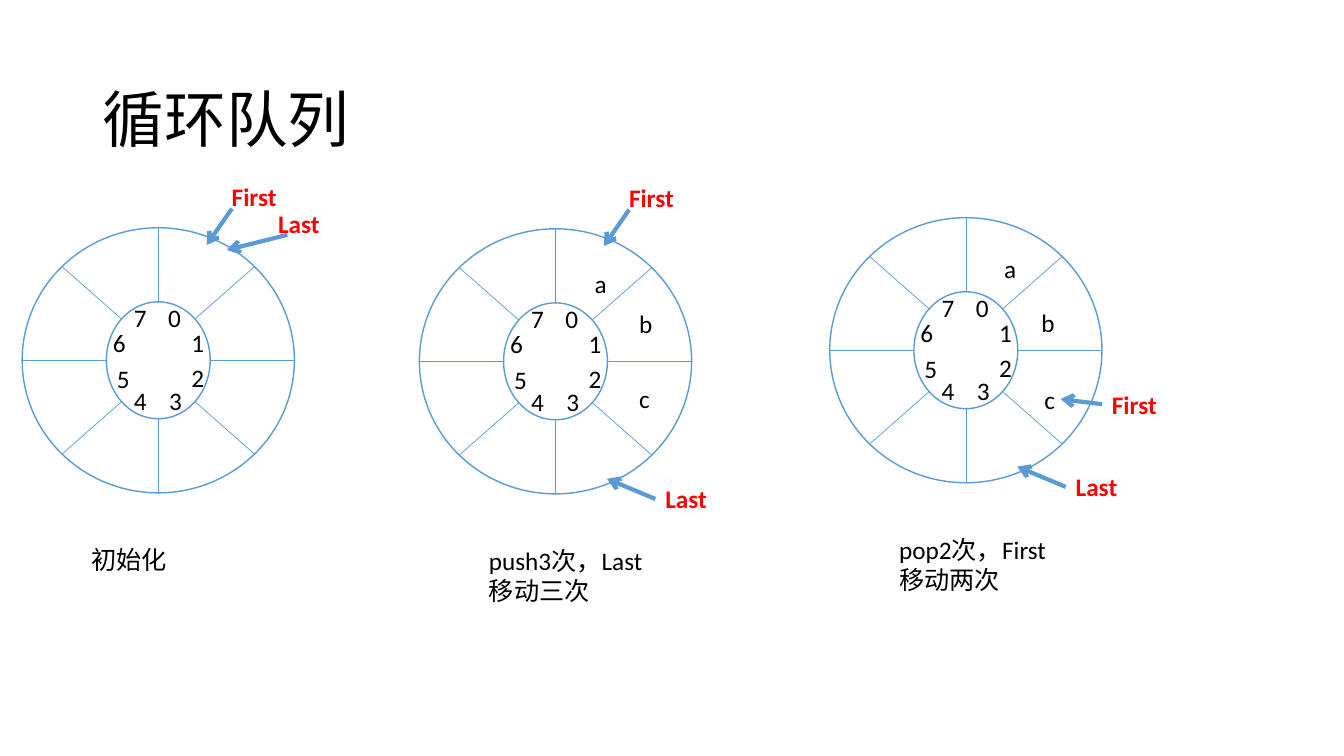
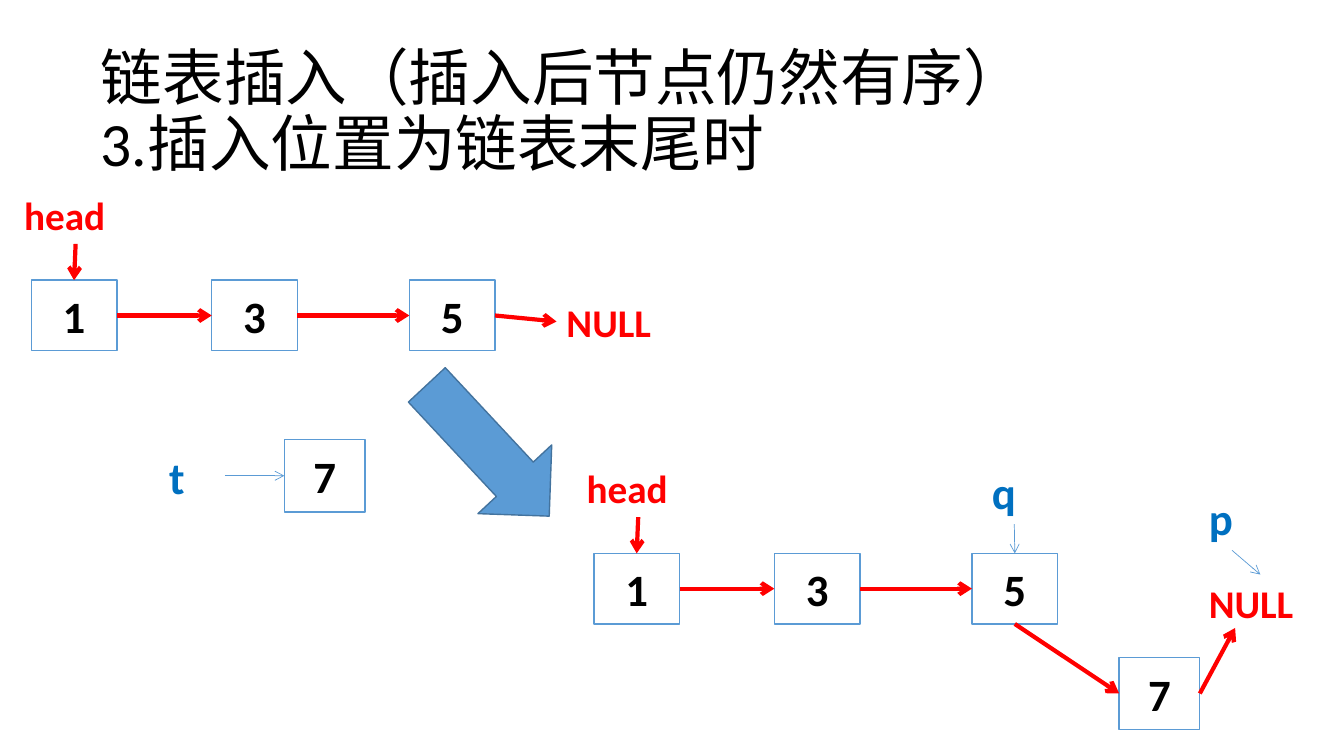
import math

from lxml import etree
from pptx import Presentation
from pptx.dml.color import RGBColor
from pptx.enum.shapes import MSO_CONNECTOR, MSO_SHAPE
from pptx.enum.text import MSO_ANCHOR, MSO_AUTO_SIZE, PP_ALIGN
from pptx.oxml.ns import qn
from pptx.util import Inches, Pt

ELLIPSE = MSO_SHAPE.OVAL
RECTANGLE = MSO_SHAPE.RECTANGLE
RIGHT_ARROW = MSO_SHAPE.RIGHT_ARROW
STRAIGHT = MSO_CONNECTOR.STRAIGHT
MIDDLE = MSO_ANCHOR.MIDDLE
FIT_SHAPE = MSO_AUTO_SIZE.SHAPE_TO_FIT_TEXT
NO_FIT = MSO_AUTO_SIZE.NONE
LEFT, CENTER = PP_ALIGN.LEFT, PP_ALIGN.CENTER

FONT = "Calibri"
COLORS = {
    "text": "000000",
    "paper": "FFFFFF",
    "outline": "5B9BD5",
    "outline_dark": "43739E",
    "accent": "FF0000",
    "pointer": "0070C0",
}
TITLE_ONLY = 5
TOP_SIDE, LEFT_SIDE, BOTTOM_SIDE, RIGHT_SIDE = range(4)
SIDE_FRACTIONS = [(0.5, 0), (0, 0.5), (0.5, 1), (1, 0.5)]

RING_SIZE = (2.7, 2.63)
HUB_SIZE = (1.03, 1.16)
SLOT_OFFSETS = [(1.35, 0.69), (1.58, 0.94), (1.58, 1.29), (1.36, 1.51),
                (1.01, 1.51), (0.84, 1.3), (0.8, 0.94), (1.01, 0.69)]
CAPTION_OFFSET = (0.59, 3.09)
NODE_SIZE = (0.85, 0.7)
NEW_NODE_SIZE = (0.8, 0.72)
CHAIN = [("1", 0), ("3", 1.79), ("5", 3.75)]

# Each marker: label, label position, arrow start, arrow end
QUEUES = [
    {"origin": (0.22, 2.26), "caption": "初始化", "caption_size": (1.51, 0.4),
     "markers": [("First", (2.2, 1.75), (2.3, 2.07), (2.05, 2.43)),
                 ("Last", (2.66, 2.02), (2.85, 2.33), (2.25, 2.48))],
     "items": []},
    {"origin": (4.16, 2.27), "caption": "push3次，Last移动三次",
     "caption_size": (1.85, 0.71),
     "markers": [("First", (6.14, 1.76), (6.24, 2.08), (5.99, 2.44)),
                 ("Last", (6.5, 4.75), (6.5, 4.95), (6.02, 4.75))],
     "items": [("a", (5.8, 2.61)), ("b", (6.24, 3.01)), ("c", (6.24, 3.75))]},
    {"origin": (8.23, 2.16), "caption": "pop2次，First移动两次",
     "caption_size": (1.85, 0.71),
     "markers": [("First", (10.93, 3.81), (10.93, 4.01), (10.52, 3.96)),
                 ("Last", (10.57, 4.63), (10.57, 4.83), (10.09, 4.63))],
     "items": [("a", (9.86, 2.46)), ("b", (10.23, 3)), ("c", (10.26, 3.76))]},
]


def rgb(name):
    return RGBColor.from_string(COLORS[name])


def shifted(origin, offset):
    return origin[0] + offset[0], origin[1] + offset[1]


def format_text(text_frame, size, color="text", bold=False, align=LEFT):
    for paragraph in text_frame.paragraphs:
        paragraph.alignment = align
        for run in paragraph.runs:
            run.font.name = FONT
            run.font.size = Pt(size)
            run.font.bold = bold
            run.font.color.rgb = rgb(color)


def add_titled_slide(presentation, title_text, position):
    slide = presentation.slides.add_slide(presentation.slide_layouts[TITLE_ONLY])
    title = slide.shapes.title
    title.left, title.top = map(Inches, position)
    title.width, title.height = Inches(11.5), Inches(1.45)
    text_frame = title.text_frame
    text_frame.text = title_text
    text_frame.vertical_anchor = MIDDLE
    text_frame.auto_size = NO_FIT
    for paragraph in text_frame.paragraphs:
        paragraph.line_spacing = 0.9
    format_text(text_frame, 44)
    return slide


def add_label(shapes, text, position, size, font_size=18, color="text", bold=False):
    label = shapes.add_textbox(*map(Inches, position + size))
    text_frame = label.text_frame
    text_frame.word_wrap = True
    text_frame.auto_size = FIT_SHAPE
    text_frame.text = text
    format_text(text_frame, font_size, color, bold)


def add_outlined(shapes, kind, position, size, fill="paper", line="outline"):
    shape = shapes.add_shape(kind, *map(Inches, position + size))
    shape.shadow.inherit = False
    shape.fill.solid()
    shape.fill.fore_color.rgb = rgb(fill)
    shape.line.color.rgb = rgb(line)
    shape.line.width = Pt(1)
    return shape


def add_node(shapes, text, position, size=NODE_SIZE):
    node = add_outlined(shapes, RECTANGLE, position, size)
    node.text_frame.text = text
    node.text_frame.vertical_anchor = MIDDLE
    format_text(node.text_frame, 32, bold=True, align=CENTER)
    return node


def side_middle(shape, side):
    across, down = SIDE_FRACTIONS[side]
    return (shape.left + int(shape.width * across),
            shape.top + int(shape.height * down))


def add_line(shapes, start, end, color="outline", width=0.5, arrow=True,
             start_side=None, end_side=None):
    """Draw a line; an end given with a side is a shape to join, else a point."""
    points = [tuple(map(Inches, target)) if side is None else side_middle(target, side)
              for target, side in ((start, start_side), (end, end_side))]
    connector = shapes.add_connector(STRAIGHT, *points[0], *points[1])
    if start_side is not None:
        connector.begin_connect(start, start_side)
    if end_side is not None:
        connector.end_connect(end, end_side)
    connector.line.color.rgb = rgb(color)
    connector.line.width = Pt(width)
    properties = connector.element.spPr
    if arrow:
        etree.SubElement(properties.find(qn("a:ln")), qn("a:tailEnd"), type="arrow")
    etree.SubElement(properties, qn("a:effectLst"))


def add_ring(shapes, origin):
    """Draw a ring with eight numbered slots around a hub."""
    center = shifted(origin, (RING_SIZE[0] / 2, RING_SIZE[1] / 2))
    for width, height in (RING_SIZE, HUB_SIZE):
        corner = shifted(center, (-width / 2, -height / 2))
        add_outlined(shapes, ELLIPSE, corner, (width, height))
    for slot, offset in enumerate(SLOT_OFFSETS):
        angle = slot * math.tau / len(SLOT_OFFSETS)
        inner, outer = [
            shifted(center, (width / 2 * math.cos(angle), height / 2 * math.sin(angle)))
            for width, height in (HUB_SIZE, RING_SIZE)]
        add_line(shapes, inner, outer, arrow=False)
        add_label(shapes, str(slot), shifted(origin, offset), (0.32, 0.4))


def add_queue(slide, queue):
    shapes = slide.shapes.add_group_shape().shapes
    origin = queue["origin"]
    add_ring(shapes, origin)
    add_label(shapes, queue["caption"], shifted(origin, CAPTION_OFFSET),
              queue["caption_size"])
    for text, position, start, end in queue["markers"]:
        add_label(shapes, text, position, (0.69, 0.4), color="accent", bold=True)
        add_line(shapes, start, end, width=3)
    for text, position in queue["items"]:
        add_label(shapes, text, position, (0.26, 0.4))


def add_red_label(shapes, text, position):
    add_label(shapes, text, position, (1.22, 0.57), 28, "accent", True)


def add_red_arrow(shapes, start, end, **sides):
    add_line(shapes, start, end, "accent", 3, **sides)


def add_pointer_label(shapes, text, position):
    add_label(shapes, text, position, (0.65, 0.64), 32, "pointer", True)


def add_chain(shapes, origin, null_position):
    """Draw head, the linked nodes and NULL; return the last node."""
    nodes = [add_node(shapes, text, shifted(origin, (offset, 0)))
             for text, offset in CHAIN]
    add_red_label(shapes, "head", shifted(origin, (-0.17, -0.93)))
    add_red_arrow(shapes, shifted(origin, (0.44, -0.36)), nodes[0], end_side=TOP_SIDE)
    for node, following in zip(nodes, nodes[1:]):
        add_red_arrow(shapes, node, following,
                      start_side=RIGHT_SIDE, end_side=LEFT_SIDE)
    add_red_label(shapes, "NULL", null_position)
    return nodes[-1]


def build_circular_queue(presentation):
    slide = add_titled_slide(presentation, "循环队列", (0.92, 0.49))
    for queue in QUEUES:
        add_queue(slide, queue)


def build_list_insertion(presentation):
    slide = add_titled_slide(
        presentation, "链表插入（插入后节点仍然有序）\v3.插入位置为链表末尾时", (0.9, 0.4))
    shapes = slide.shapes

    before = shapes.add_group_shape().shapes
    last_node = add_chain(before, (0.31, 2.78), (5.52, 2.91))
    add_red_arrow(before, last_node, (5.52, 3.19), start_side=RIGHT_SIDE)

    new_node = add_node(shapes, "7", (2.82, 4.36), NEW_NODE_SIZE)
    add_pointer_label(shapes, "t", (1.58, 4.41))
    add_line(shapes, (2.23, 4.72), new_node, end_side=LEFT_SIDE)
    step_arrow = add_outlined(shapes, RIGHT_ARROW, (3.95, 3.97), (1.78, 1),
                              "outline", "outline_dark")
    step_arrow.rotation = 47

    after = shapes.add_group_shape().shapes
    last_node = add_chain(after, (5.89, 5.49), (11.89, 5.7))
    inserted_node = add_node(after, "7", (11.1, 6.52), NEW_NODE_SIZE)
    add_red_arrow(after, last_node, inserted_node,
                  start_side=BOTTOM_SIDE, end_side=LEFT_SIDE)
    add_red_arrow(after, inserted_node, (12.25, 6.23), start_side=RIGHT_SIDE)
    add_pointer_label(after, "q", (9.74, 4.56))
    add_line(after, (10.06, 5.2), last_node, end_side=TOP_SIDE)
    add_pointer_label(after, "p", (11.89, 4.82))
    add_line(after, (12.22, 5.46), (12.5, 5.7))


def main():
    presentation = Presentation()
    presentation.slide_width = Inches(13.33)
    presentation.slide_height = Inches(7.5)
    build_circular_queue(presentation)
    build_list_insertion(presentation)
    presentation.save("out.pptx")


if __name__ == "__main__":
    main()
